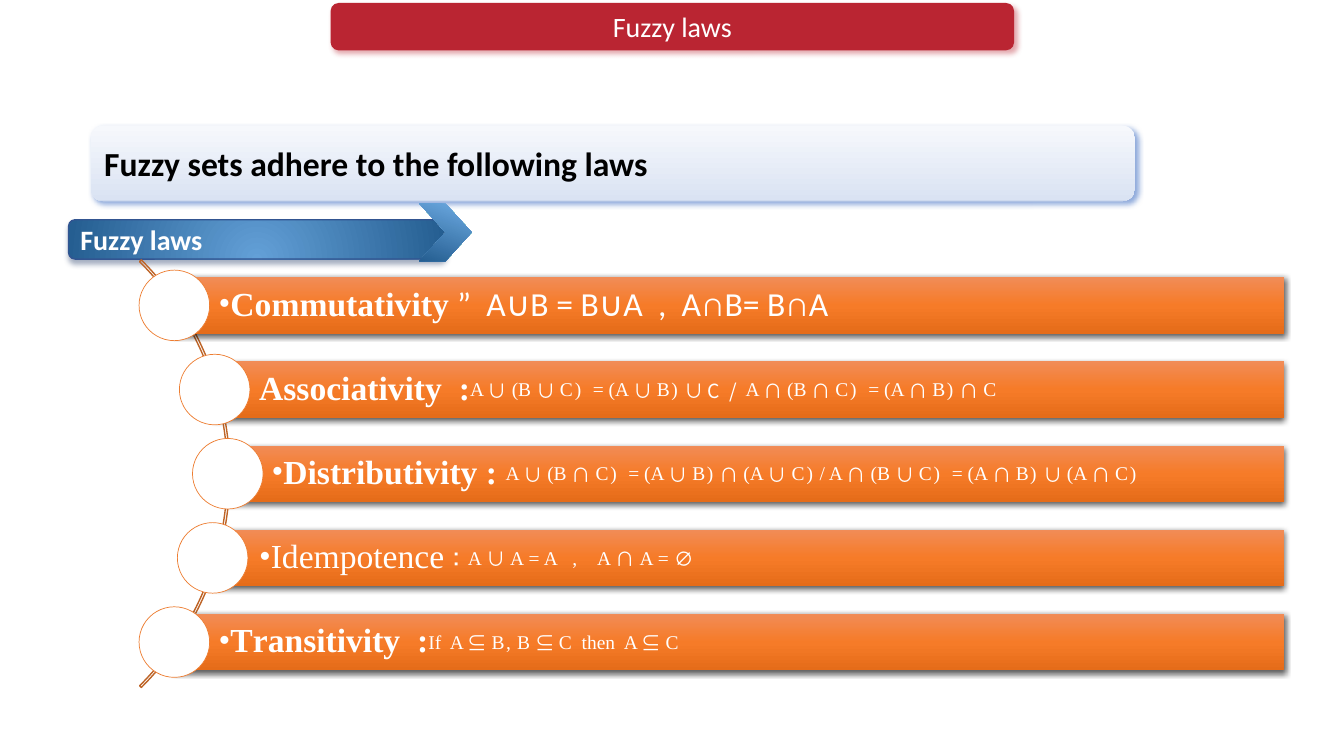
from itertools import cycle

from lxml.etree import SubElement
from pptx import Presentation
from pptx.dml.color import RGBColor
from pptx.enum.shapes import MSO_SHAPE as Shape
from pptx.enum.text import MSO_ANCHOR as Anchor, PP_ALIGN as Align
from pptx.oxml.ns import qn
from pptx.util import Inches, Pt

COLUMNS, ROWS = 160, 90
SERIF, SANS, ACCENT, SYMBOL = "Times New Roman", "Calibri", "Manrope", "Noto Sans CJK JP"
TRACKING = {"B,": 1, "B)": 1, "C)": 1.3}

BAR_GRADIENT = [(0, "F18C57"), (50, "F67B28"), (100, "E56C19")]
PANEL_GRADIENT = [(0, "F6F8FC"), (99, "DAE3F3"), (100, "ABC0E4"), (100, "C7D5ED")]
LABEL_GRADIENT = [(0, "BDD7EE"), (0, "63A0D7"), (100, "255E91")]
CHEVRON_GRADIENT = [(0, "BDD7EE"), (15, "63A0D7"), (100, "255E91")]

BAR_TOP, BAR_STEP, BAR_HEIGHT, BAR_RIGHT = 33, 10.02, 6.72, 152.88
CIRCLE_SIZE = 8.4


def color(hex_string):
    return RGBColor.from_string(hex_string)


def heading(text, font=SERIF, bold=True, spacing=0):
    return text, font, bold, 0, spacing


def formula(marked_text, spacing=0):
    """Split at "|" into runs that alternate between letters and symbols."""
    runs = []
    for part, font in zip(marked_text.split("|"), cycle((SERIF, SYMBOL))):
        if font == SYMBOL:
            runs.append((part, font, False, 6, 0))
            continue
        start = part[:2]
        if start in TRACKING:
            runs.append((start, font, False, 11, TRACKING[start]))
            part = part[2:]
        if part:
            runs.append((part, font, False, 11, spacing))
    return runs


# bar column, circle column, bullet, runs
LAWS = [
    (20.76, 16.56, True, [heading("Commutativity "),
                          heading("”  A∪B = B∪A  ,  A∩B= B∩A", SANS, False)]),
    (25.56, 21.36, False, [heading("Associativity  :")] + formula(
        "A |∪ |(B |∪ |C)  = (A |∪ |B) |∪ C  /  |"
        "A |∩ |(B |∩ |C)  = (A |∩ |B) |∩ |C")),
    (27.06, 22.92, True, [heading("Distributivity : ")] + formula(
        "A |∪ |(B |∩ |C)  = (A |∪ |B) |∩ |(A |∪ |C) / A |"
        "∩ |(B |∪ |C)  = (A |∩ |B) |∪ |(A |∩ |C)")),
    (25.56, 21.12, True, [heading("Idempotence", bold=False), heading(" : ", ACCENT, False)]
     + formula("A |∪ |A = A   ,    A |∩ |A = |∅", spacing=0.2)),
    (20.76, 16.56, True, [heading("T", spacing=-1.7), heading("ransitivity  :")]
     + formula("If  A |⊆ |B, B |⊆ |C  then  A |⊆ |C")),
]


class SlideBuilder:
    """Holds the slide, its grid and the style of its elements."""

    def __init__(self, presentation):
        self.slide = presentation.slides.add_slide(presentation.slide_layouts[6])
        self.column = presentation.slide_width / COLUMNS
        self.row = presentation.slide_height / ROWS

    def shape(self, kind, left, top, width, height, fill=None, line=None, shadow=None):
        shape = self.slide.shapes.add_shape(
            kind, round(left * self.column), round(top * self.row),
            round(width * self.column), round(height * self.row))
        shape.shadow.inherit = False
        if fill:
            shape.fill.solid()
            shape.fill.fore_color.rgb = color(fill)
        else:
            shape.fill.background()
        if line:
            line_color, points = line
            shape.line.color.rgb = color(line_color)
            shape.line.width = Pt(points)
        else:
            shape.line.fill.background()
        if shadow:
            self.shadow(shape, *shadow)
        return shape

    def shadow(self, shape, hex_string, opacity, blur, distance, angle):
        effects = shape.element.spPr.find(qn("a:effectLst"))
        outer = SubElement(effects, qn("a:outerShdw"), blurRad=str(Pt(blur)),
                           dist=str(Pt(distance)), dir=str(angle * 60000),
                           algn="ctr", rotWithShape="0")
        shade = SubElement(outer, qn("a:srgbClr"), val=hex_string)
        SubElement(shade, qn("a:alpha"), val=str(opacity * 1000))

    def gradient(self, shape, stops, angle=None, focus=None):
        """Fill along an angle, or outwards from a focus (left, top, right, bottom)."""
        properties = shape.element.spPr
        fill = SubElement(properties, qn("a:gradFill"), rotWithShape="1")
        properties.replace(properties.find(qn("a:noFill")), fill)
        stop_list = SubElement(fill, qn("a:gsLst"))
        for position, hex_string in stops:
            stop = SubElement(stop_list, qn("a:gs"), pos=str(position * 1000))
            SubElement(stop, qn("a:srgbClr"), val=hex_string)
        if focus:
            path = SubElement(fill, qn("a:path"), {"path": "circle"})
            sides = {side: str(share * 1000) for side, share in zip("ltrb", focus)}
            SubElement(path, qn("a:fillToRect"), sides)
        else:
            SubElement(fill, qn("a:lin"), ang=str(angle * 60000), scaled="0")

    def caption(self, shape, text, size, align=Align.LEFT, text_color="FFFFFF", bold=False):
        frame = shape.text_frame
        frame.text = text
        frame.word_wrap = True
        frame.vertical_anchor = Anchor.MIDDLE
        frame.margin_top = frame.margin_bottom = 0
        paragraph = frame.paragraphs[0]
        paragraph.alignment = align
        font = paragraph.runs[0].font
        font.name, font.size, font.bold = SANS, Pt(size), bold
        font.color.rgb = color(text_color)

    def law_text(self, shape, runs, bullet):
        frame = shape.text_frame
        frame.word_wrap = True
        frame.vertical_anchor = Anchor.MIDDLE
        frame.margin_left = Inches(0.44)
        frame.margin_right = frame.margin_top = frame.margin_bottom = Inches(0.07)
        paragraph = frame.paragraphs[0]
        paragraph.alignment = Align.LEFT
        paragraph.line_spacing = 0.9
        if bullet:
            properties = paragraph._p.get_or_add_pPr()
            SubElement(properties, qn("a:buFont"), typeface=SERIF)
            SubElement(properties, qn("a:buChar"), char="•")
        for text, name, bold, baseline, spacing in runs:
            run = paragraph.add_run()
            run.text = text
            font = run.font
            font.name, font.size, font.bold = name, Pt(24), bold
            font.color.rgb = color("FFFFFF")
            properties = run._r.get_or_add_rPr()
            SubElement(properties, qn("a:ea"), typeface=name)
            if baseline:
                properties.set("baseline", str(baseline * 1000))
            if spacing:
                properties.set("spc", str(round(spacing * 100)))

    def law(self, index, bar_left, circle_left, bullet, runs):
        top = BAR_TOP + index * BAR_STEP
        bar = self.shape(Shape.RECTANGLE, bar_left, top, BAR_RIGHT - bar_left, BAR_HEIGHT,
                         shadow=("000000", 63, 4.5, 1.5, 90))
        self.gradient(bar, BAR_GRADIENT, angle=90)
        self.law_text(bar, runs, bullet)
        self.shape(Shape.OVAL, circle_left, top - (CIRCLE_SIZE - BAR_HEIGHT) / 2,
                   CIRCLE_SIZE, CIRCLE_SIZE, fill="FFFFFF", line=("ED7D31", 0.5))


def main():
    presentation = Presentation()
    presentation.slide_width, presentation.slide_height = Inches(13.33), Inches(7.5)
    builder = SlideBuilder(presentation)

    title = builder.shape(Shape.ROUNDED_RECTANGLE, 39.36, 0.36, 81.36, 5.64,
                          fill="BA2532", shadow=("BA2532", 40, 4, 3, 45))
    builder.caption(title, "Fuzzy laws", 20, Align.CENTER)

    panel = builder.shape(Shape.ROUNDED_RECTANGLE, 10.8, 14.94, 124.32, 9,
                          shadow=("4472C4", 60, 4, 3, 45))
    builder.gradient(panel, PANEL_GRADIENT, angle=90)
    builder.caption(panel, "Fuzzy sets adhere to the following laws", 24, Align.JUSTIFY,
                    text_color="000000", bold=True)

    label = builder.shape(Shape.ROUNDED_RECTANGLE, 8.16, 26.16, 44.88, 4.68,
                          line=("325491", 1), shadow=("203864", 40, 4, 3, 90))
    builder.gradient(label, LABEL_GRADIENT, focus=(50, 130, 50, -30))
    builder.caption(label, "Fuzzy laws", 20, bold=True)

    arc = builder.shape(Shape.BLOCK_ARC, -44.64, 20.4, 72, 72, line=("BE6427", 1))
    for index, adjustment in enumerate((189, 27, 0.004)):
        arc.adjustments[index] = adjustment

    for index, law in enumerate(LAWS):
        builder.law(index, *law)

    chevron = builder.shape(Shape.CHEVRON, 49.92, 24.24, 6.24, 6.84)
    builder.gradient(chevron, CHEVRON_GRADIENT, angle=110)

    presentation.save("out.pptx")


if __name__ == "__main__":
    main()
